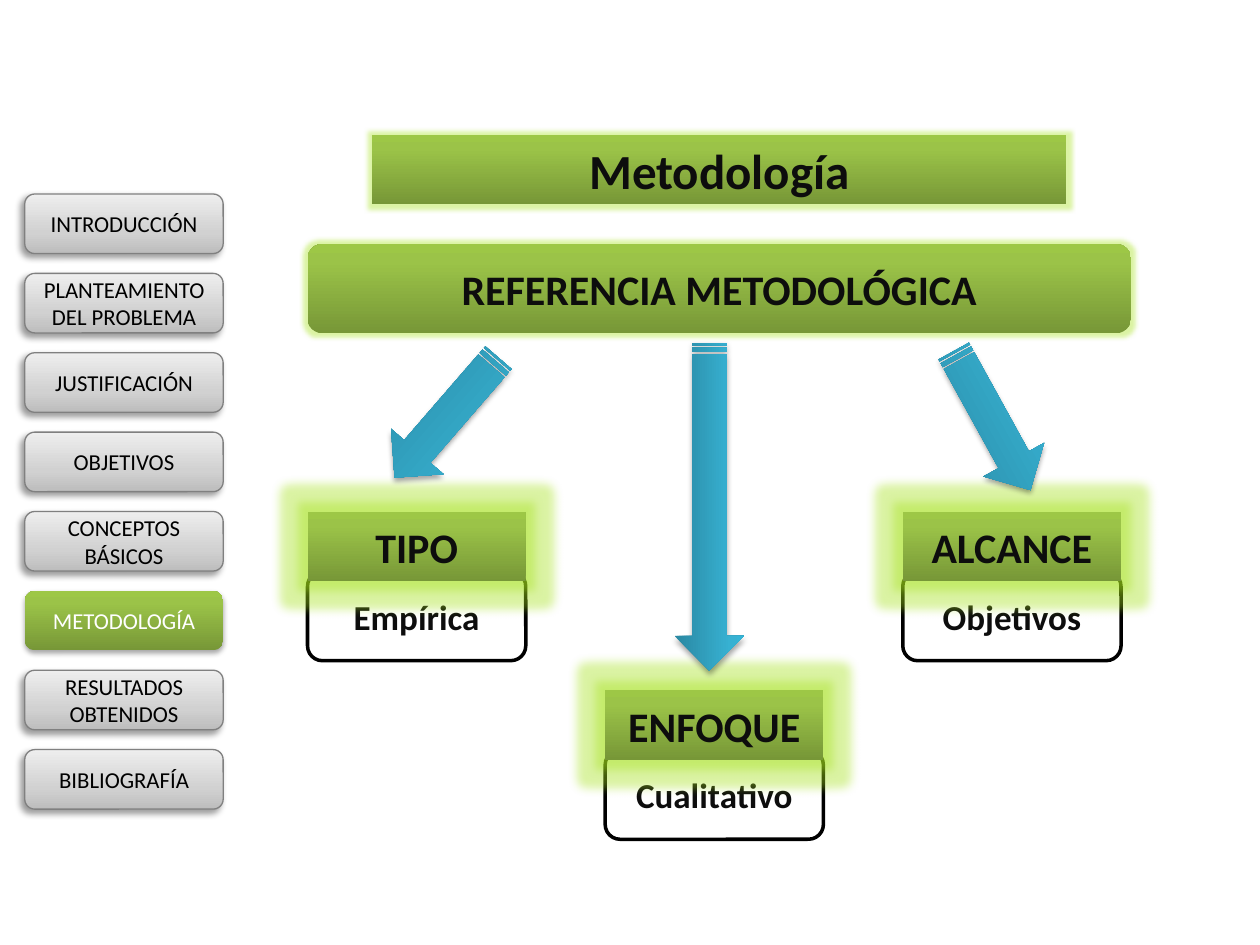
from copy import deepcopy
from dataclasses import dataclass

from lxml.etree import SubElement
from pptx import Presentation
from pptx.dml.color import RGBColor
from pptx.enum.shapes import MSO_SHAPE as Preset
from pptx.enum.text import MSO_ANCHOR as Anchor, PP_ALIGN as Align
from pptx.oxml.ns import qn
from pptx.util import Inches, Mm, Pt

GRID_MM = 4
INK = "0D0D0D"
GLOW = "A5E21A"


@dataclass(frozen=True)
class Box:
    col: float
    row: float
    cols: float
    rows: float

    def lengths(self) -> tuple:
        return tuple(Mm(GRID_MM * n) for n in (self.col, self.row, self.cols, self.rows))


@dataclass(frozen=True)
class Shade:
    alpha: int
    blur: float
    distance: float
    angle: int


@dataclass(frozen=True)
class Card:
    heading: str
    detail: str
    col: float
    row: float


@dataclass(frozen=True)
class Arrow:
    box: Box
    rotation: float


GREEN = ((0, "779737"), (0.8, "9BC348"), (1, "9DC746"))
GRAY = ((0, "BDBDBD"), (0.35, "D1D1D1"), (1, "EEEEEE"))
BLUE = ((0, "2A88A2"), (0.8, "37B1D2"), (1, "34B4D6"))
MENU_SHADE = Shade(40, 4, 3, 135)
ACTIVE_SHADE = Shade(35, 3.1, 1.8, 90)

SECTIONS = (
    "INTRODUCCIÓN",
    "PLANTEAMIENTO DEL PROBLEMA",
    "JUSTIFICACIÓN",
    "OBJETIVOS",
    "CONCEPTOS BÁSICOS",
    "METODOLOGÍA",
    "RESULTADOS OBTENIDOS",
    "BIBLIOGRAFÍA",
)
CURRENT = "METODOLOGÍA"
CARDS = (
    Card("TIPO", "Empírica", 15.5, 25.8),
    Card("ENFOQUE", "Cualitativo", 34.4 - 3.9, 34.8),
    Card("ALCANCE", "Objetivos", 45.5, 25.8),
)
ARROWS = (
    Arrow(Box(18.5, 19.3, 8, 3.5), 130.9),
    Arrow(Box(27.5, 23.8, 16.5, 3.5), 90),
    Arrow(Box(46, 19.45, 8, 3.5), 61.1),
)


def rgb(color: str) -> RGBColor:
    return RGBColor.from_string(color)


def fill_gradient(shape, stops: tuple) -> None:
    shape.fill.gradient()
    shape.fill.gradient_angle = 90
    stop_list = shape._element.spPr.find(".//" + qn("a:gsLst"))
    stop_list.append(deepcopy(stop_list[-1]))
    for stop, (position, color) in zip(shape.fill.gradient_stops, stops):
        stop.position = position
        stop.color.rgb = rgb(color)


def add_effect(shape, kind: str, color: str, alpha: int, **settings: str) -> None:
    shape.shadow.inherit = False
    effects = shape._element.spPr.find(qn("a:effectLst"))
    effect = SubElement(effects, qn(f"a:{kind}"), settings)
    tone = SubElement(effect, qn("a:srgbClr"), val=color)
    SubElement(tone, qn("a:alpha"), val=str(alpha * 1000))


def add_shade(shape, shade: Shade) -> None:
    add_effect(shape, "outerShdw", "000000", shade.alpha,
               blurRad=str(Pt(shade.blur)), dist=str(Pt(shade.distance)),
               dir=str(shade.angle * 60000), rotWithShape="0")


def add_glow(shape, radius: float) -> None:
    add_effect(shape, "glow", GLOW, 40, rad=str(Pt(radius)))


def write(shape, text: str, size: int, color: str = INK, bold: bool = True) -> None:
    frame = shape.text_frame
    frame.text = text
    frame.word_wrap = True
    frame.vertical_anchor = Anchor.MIDDLE
    paragraph = frame.paragraphs[0]
    paragraph.alignment = Align.CENTER
    font = paragraph.font
    font.name, font.size, font.bold = "Calibri", Pt(size), bold
    font.color.rgb = rgb(color)


def add_block(shapes, preset: Preset, box: Box):
    block = shapes.add_shape(preset, *box.lengths())
    block.shadow.inherit = False
    block.line.fill.background()
    return block


def outline(shape, color: str, width: float) -> None:
    shape.line.color.rgb = rgb(color)
    shape.line.width = Pt(width)


def format_title(title) -> None:
    title.left, title.top, title.width, title.height = Box(18.75, 6.8, 35, 3.5).lengths()
    geometry = SubElement(title._element.spPr, qn("a:prstGeom"), prst="roundRect")
    SubElement(geometry, qn("a:avLst"))
    fill_gradient(title, GREEN)
    add_glow(title, 5)
    write(title, "Metodología", 28)


def add_menu(shapes) -> None:
    for index, section in enumerate(SECTIONS):
        button = add_block(shapes, Preset.ROUNDED_RECTANGLE, Box(1.25, 9.78 + 4 * index, 10, 3))
        active = section == CURRENT
        fill_gradient(button, GREEN if active else GRAY)
        if not active:
            outline(button, "808080", 0.75)
        add_shade(button, ACTIVE_SHADE if active else MENU_SHADE)
        write(button, section, 13, "FFFFFF" if active else "000000", bold=False)


def add_banner(shapes) -> None:
    banner = add_block(shapes, Preset.ROUNDED_RECTANGLE, Box(15.5, 12.3, 41.5, 4.5))
    fill_gradient(banner, GREEN)
    add_glow(banner, 5)
    write(banner, "REFERENCIA METODOLÓGICA", 24)


def add_card(shapes, card: Card) -> None:
    group = shapes.add_group_shape().shapes
    detail = add_block(group, Preset.ROUNDED_RECTANGLE, Box(card.col, card.row + 3, 11, 4.5))
    detail.fill.solid()
    detail.fill.fore_color.rgb = rgb("FFFFFF")
    outline(detail, "000000", 2)
    write(detail, card.detail, 20)
    heading = add_block(group, Preset.RECTANGLE, Box(card.col, card.row, 11, 3.5))
    fill_gradient(heading, GREEN)
    add_glow(heading, 11)
    write(heading, card.heading, 24)


def add_arrow(shapes, arrow: Arrow) -> None:
    block = add_block(shapes, Preset.STRIPED_RIGHT_ARROW, arrow.box)
    block.rotation = arrow.rotation
    fill_gradient(block, BLUE)
    add_shade(block, ACTIVE_SHADE)


def main() -> None:
    deck = Presentation()
    deck.slide_width, deck.slide_height = Inches(10), Inches(7.5)
    slide = deck.slides.add_slide(deck.slide_layouts[5])
    format_title(slide.shapes.title)
    add_menu(slide.shapes)
    add_banner(slide.shapes)
    for card in CARDS:
        add_card(slide.shapes, card)
    for arrow in ARROWS:
        add_arrow(slide.shapes, arrow)
    deck.save("out.pptx")


if __name__ == "__main__":
    main()
